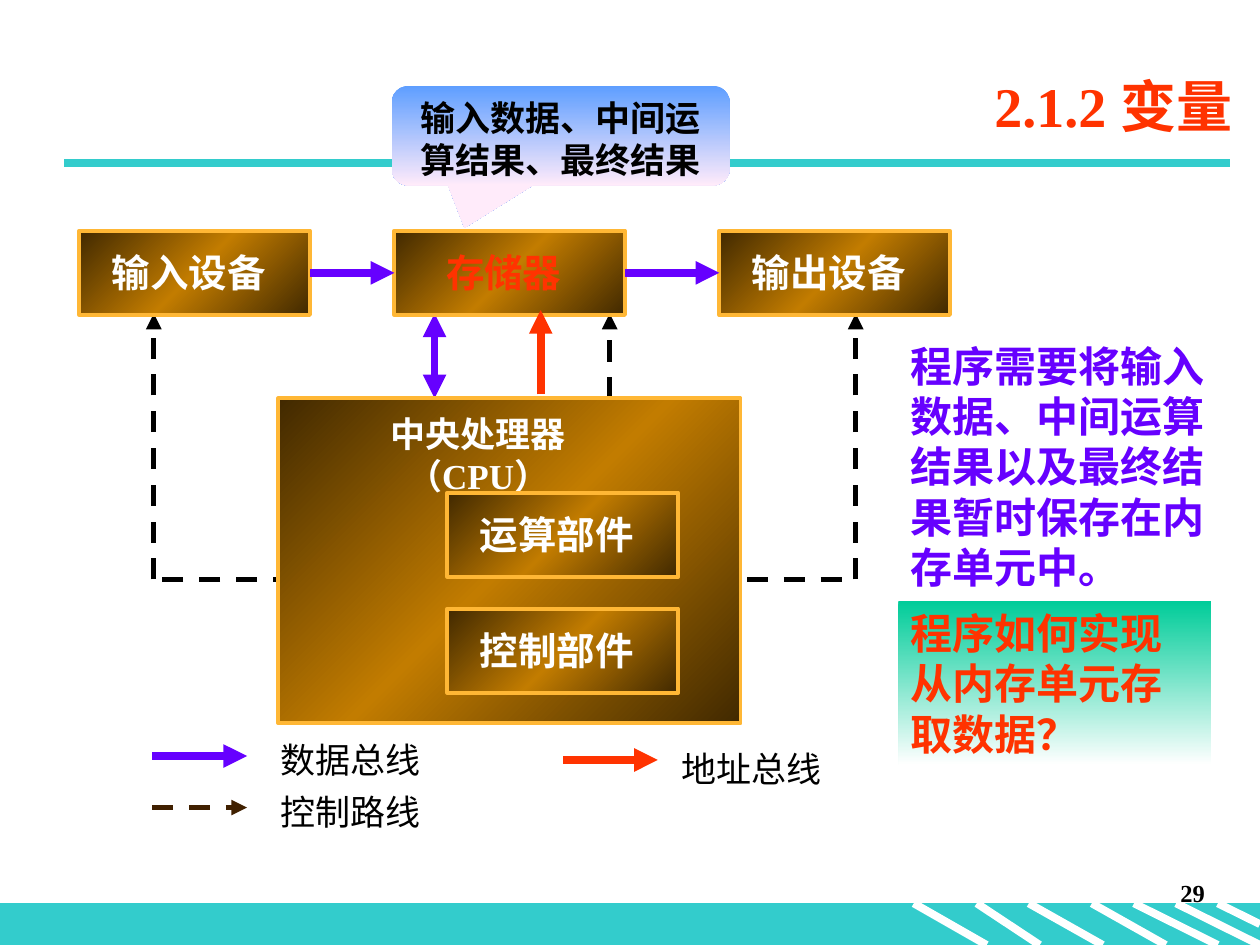
from dataclasses import dataclass
from typing import Optional

from lxml.etree import SubElement
from pptx import Presentation
from pptx.dml.color import RGBColor
from pptx.enum.dml import MSO_LINE
from pptx.enum.shapes import MSO_CONNECTOR, MSO_SHAPE
from pptx.enum.text import MSO_ANCHOR, PP_ALIGN
from pptx.oxml.ns import qn
from pptx.util import Cm, Pt

COLOURS = {
    "teal": "33CCCC", "white": "FFFFFF", "black": "000000", "red": "FF3300",
    "violet": "6600FF", "brown": "402000", "gold": "FFB735", "dark": "412900",
    "bronze": "C27C00", "sky": "5E9EFF", "pink": "FFEBFA", "green": "00CC99",
}
SERIF, SANS = "Times New Roman", "Noto Sans CJK SC"
BOX_WIDTH, BOX_HEIGHT, LABEL_INSET = 4.65, 1.7, 0.25
BAND_TOP, PAGE_WIDTH, PAGE_HEIGHT = 18.21, 25.4, 19.05


@dataclass
class Unit:
    """A labelled hardware unit."""
    text: str
    left: float
    top: float
    colour: str = "white"


@dataclass
class Route:
    """A straight line between two points."""
    start: tuple[float, float]
    end: tuple[float, float]
    colour: str
    width: float = 4.5
    dashed: bool = False
    head: bool = False
    tail: bool = True


@dataclass
class Legend:
    """A sample line with its name."""
    text: str
    label: tuple[float, float]
    route: Route


UNITS = [
    Unit("输入设备", 1.6, 4.65),
    Unit("存储器", 7.95, 4.65, "red"),
    Unit("输出设备", 14.5, 4.65),
]
CPU_PARTS = [Unit("运算部件", 9.02, 9.93), Unit("控制部件", 9.02, 12.27)]
STRIPES = [
    ((left, BAND_TOP), (right, bottom))
    for left, right, bottom in [
        (18.42, 19.89, PAGE_HEIGHT), (19.69, 20.96, PAGE_HEIGHT),
        (20.74, 22.23, PAGE_HEIGHT), (22.01, 23.5, PAGE_HEIGHT),
        (22.86, 24.55, PAGE_HEIGHT), (23.71, PAGE_WIDTH, PAGE_HEIGHT),
        (24.55, PAGE_WIDTH, 18.63),
    ]
]
CONTROL_ROUTES = [
    Route((5.92, 11.68), (3.1, 11.68), "black", 3, True, tail=False),
    Route((15.06, 11.68), (17.25, 11.68), "black", 3, True, tail=False),
    Route((3.1, 11.68), (3.1, 6.32), "black", 3, True),
    Route((17.25, 11.68), (17.25, 6.32), "black", 3, True),
    Route((12.29, 8.03), (12.29, 6.32), "black", 3, True),
]
DATA_ROUTE = Route((8.76, 8.03), (8.76, 6.32), "violet", head=True)
ADDRESS_ROUTE = Route((10.9, 7.95), (10.9, 6.25), "red")
LEGENDS = [
    Legend("数据总线", (5.41, 14.76), Route((3.07, 15.24), (4.98, 15.24), "violet")),
    Legend("控制路线", (5.41, 15.82),
           Route((3.07, 16.28), (4.98, 16.28), "brown", 3, True)),
    Legend("地址总线", (13.49, 14.94), Route((11.35, 15.32), (13.26, 15.32), "red")),
]


def rgb(name: str) -> RGBColor:
    """Look up a named colour."""
    return RGBColor.from_string(COLOURS[name])


def write(shape, text: str, *, size: float, colour: str, font: str = SERIF,
          bold: bool = True, align=PP_ALIGN.LEFT, anchor=MSO_ANCHOR.TOP,
          side: float = 0.25) -> None:
    """Put one formatted paragraph into a shape."""
    frame = shape.text_frame
    frame.word_wrap = True
    frame.vertical_anchor = anchor
    frame.margin_left = frame.margin_right = Cm(side)
    para = frame.paragraphs[0]
    para.alignment = align
    span = para.add_run()
    span.text = text
    span.font.name, span.font.size, span.font.bold = font, Pt(size), bold
    span.font.color.rgb = rgb(colour)
    SubElement(span.font._element, qn("a:ea")).set("typeface", SANS)


def add_text(page, text: str, left: float, top: float, width: float,
             height: float, **style):
    """Add a text box."""
    box = page.shapes.add_textbox(Cm(left), Cm(top), Cm(width), Cm(height))
    write(box, text, **style)
    return box


def add_block(page, left: float, top: float, width: float, height: float,
              colours: list[str], *, angle: int = 0, line: Optional[str] = None,
              line_width: float = 2.25, kind=MSO_SHAPE.RECTANGLE):
    """Add a shape filled with one colour or an even gradient."""
    block = page.shapes.add_shape(kind, Cm(left), Cm(top), Cm(width), Cm(height))
    block.shadow.inherit = False
    if len(colours) == 1:
        block.fill.solid()
        block.fill.fore_color.rgb = rgb(colours[0])
    else:
        block.fill.gradient()
        gradient = block._element.spPr.find(qn("a:gradFill"))
        for child in list(gradient):
            gradient.remove(child)
        stops = SubElement(gradient, qn("a:gsLst"))
        for index, name in enumerate(colours):
            position = 100000 * index // (len(colours) - 1)
            stop = SubElement(stops, qn("a:gs"), pos=str(position))
            SubElement(stop, qn("a:srgbClr"), val=COLOURS[name])
        SubElement(gradient, qn("a:lin"), ang=str(angle * 60000), scaled="1")
    if line:
        block.line.color.rgb = rgb(line)
        block.line.width = Pt(line_width)
    else:
        block.line.fill.background()
    return block


def add_route(page, route: Route):
    """Draw a route as a connector."""
    points = [Cm(value) for value in (*route.start, *route.end)]
    connector = page.shapes.add_connector(MSO_CONNECTOR.STRAIGHT, *points)
    connector.line.color.rgb = rgb(route.colour)
    connector.line.width = Pt(route.width)
    if route.dashed:
        connector.line.dash_style = MSO_LINE.DASH
    properties = connector._element.spPr
    outline = properties.find(qn("a:ln"))
    for shown, tag in ((route.head, "a:headEnd"), (route.tail, "a:tailEnd")):
        if shown:
            SubElement(outline, qn(tag), type="triangle")
    SubElement(properties, qn("a:effectLst"))
    return connector


def add_metal(page, left: float, top: float, width: float, height: float):
    """Add a bronze block with a gold outline."""
    return add_block(page, left, top, width, height, ["dark", "bronze", "dark"],
                     angle=45, line="gold")


def add_unit(page, unit: Unit):
    """Add a bronze block and its label."""
    block = add_metal(page, unit.left, unit.top, BOX_WIDTH, BOX_HEIGHT)
    add_text(page, unit.text, unit.left + LABEL_INSET, unit.top + LABEL_INSET,
             3.91, 1.19, size=22, colour=unit.colour, align=PP_ALIGN.CENTER)
    return block


def main() -> None:
    """Build the slide and save it."""
    deck = Presentation()
    deck.slide_width, deck.slide_height = Cm(PAGE_WIDTH), Cm(PAGE_HEIGHT)
    page = deck.slides.add_slide(deck.slide_layouts[6])

    add_block(page, 0, BAND_TOP, PAGE_WIDTH, PAGE_HEIGHT - BAND_TOP, ["teal"],
              line="teal", line_width=0.75)
    for start, end in STRIPES:
        add_route(page, Route(start, end, "white", tail=False))
    add_route(page, Route((1.3, 3.28), (24.79, 3.28), "teal", tail=False))
    add_text(page, "29", 19.26, 17.58, 5.28, 1.27, size=14, colour="black",
             align=PP_ALIGN.RIGHT)
    add_text(page, "2.1.2 变量", 3.51, 1.12, 21.59, 2, size=32, colour="red",
             align=PP_ALIGN.RIGHT, anchor=MSO_ANCHOR.MIDDLE)

    for route in [*CONTROL_ROUTES, DATA_ROUTE]:
        add_route(page, route)
    blocks = [add_unit(page, unit) for unit in UNITS]
    middle = UNITS[0].top + BOX_HEIGHT / 2
    for index in range(len(UNITS) - 1):
        start = (UNITS[index].left + BOX_WIDTH, middle)
        connector = add_route(page, Route(start, (UNITS[index + 1].left, middle), "violet"))
        connector.begin_connect(blocks[index], 3)
        connector.end_connect(blocks[index + 1], 1)

    add_metal(page, 5.61, 8.03, 9.32, 6.55)
    add_text(page, "中央处理器（CPU）", 6.07, 8.2, 7.14, 1.96, size=20,
             colour="white", align=PP_ALIGN.CENTER, side=0.75)
    for part in CPU_PARTS:
        add_unit(page, part)
    add_route(page, ADDRESS_ROUTE)

    for legend in LEGENDS:
        add_route(page, legend.route)
        add_text(page, legend.text, *legend.label, 7.62, 1.12, size=20,
                 colour="black", font=SANS, bold=False)

    callout = add_block(page, 7.9, 1.73, 6.81, 2.01, ["sky", "pink"], angle=90,
                        kind=MSO_SHAPE.ROUNDED_RECTANGULAR_CALLOUT)
    for index, value in enumerate((-0.285, 0.925, 0.167)):
        callout.adjustments[index] = value
    write(callout, "输入数据、中间运算结果、最终结果", size=20, colour="black",
          align=PP_ALIGN.CENTER)
    add_text(page, "程序需要将输入数据、中间运算结果以及最终结果暂时保存在内存单元中。",
             18.11, 6.73, 6.6, 5.33, size=24, colour="violet")
    question = add_block(page, 18.11, 12.12, 6.3, 3.3, ["green", "white"], angle=90)
    write(question, "程序如何实现从内存单元存取数据？", size=24, colour="red")
    deck.save("out.pptx")


if __name__ == "__main__":
    main()
